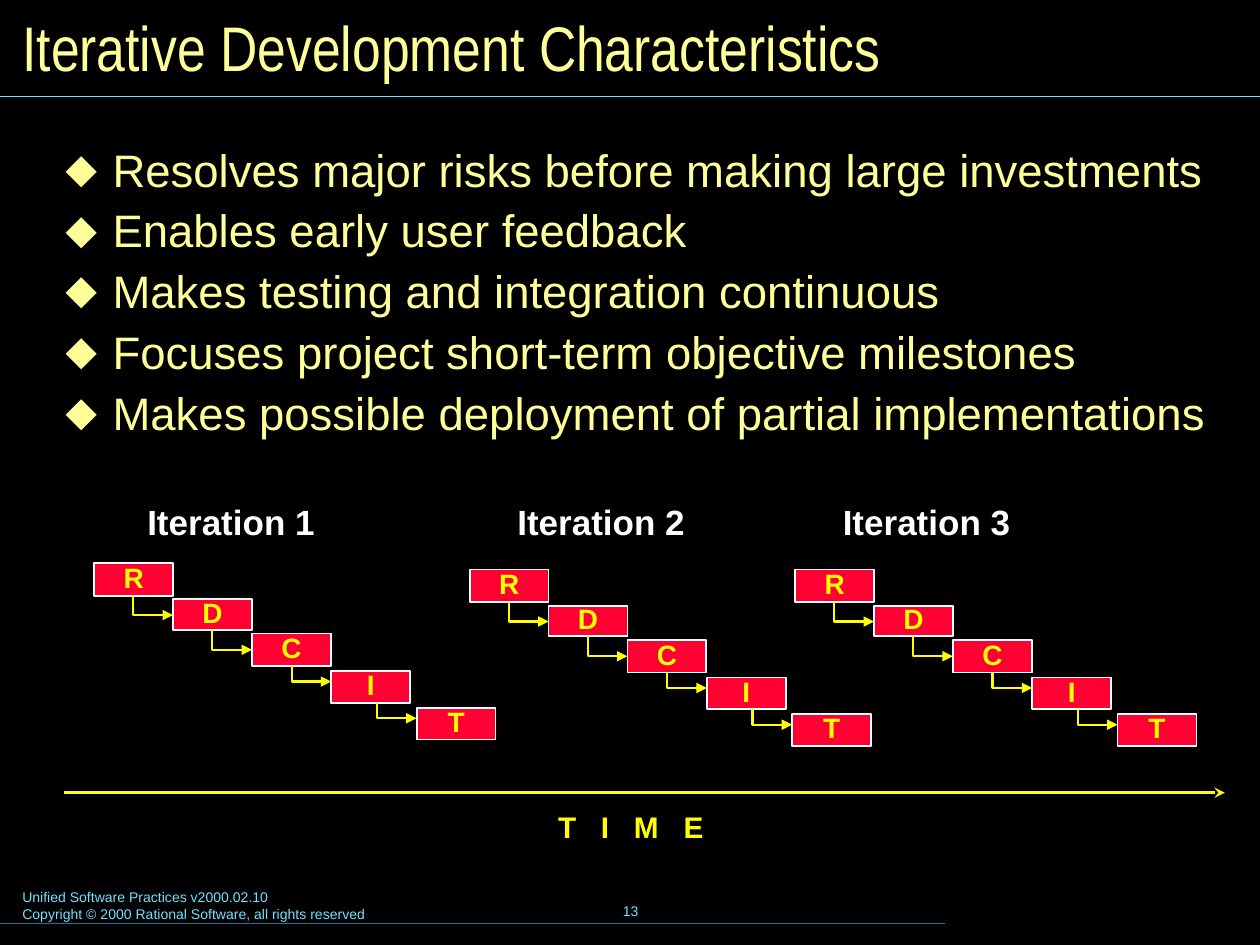
from lxml import etree
from pptx import Presentation
from pptx import util as u
from pptx.dml.color import RGBColor
from pptx.enum import shapes, text
from pptx.oxml.ns import qn

HUES = {
    "back": "000000", "pale": "FFFF99", "sky": "73E1FF", "teal": "007E9F",
    "sun": "FFFF00", "red": "FF0033", "white": "FFFFFF",
}


def hue(name):
    return RGBColor.from_string(HUES[name])


class Deck:
    """Holds the style and the current slide."""

    face = "Arial"

    def __init__(self, wide, high):
        self.prs = Presentation()
        self.prs.slide_width = u.Cm(wide)
        self.prs.slide_height = u.Cm(high)
        self.slide = self.prs.slides.add_slide(self.prs.slide_layouts[6])
        fill = self.slide.background.fill
        fill.solid()
        fill.fore_color.rgb = hue("back")

    def fill_text(self, frame, lines, size, color, bold=False, face=None,
                  align="LEFT", anchor="TOP", wrap=True, pad=(0.25, 0.13),
                  lead=None, gap=0, bullet=None, track=None):
        frame.word_wrap = wrap
        frame.vertical_anchor = text.MSO_ANCHOR[anchor]
        frame.margin_left = frame.margin_right = u.Cm(pad[0])
        frame.margin_top = frame.margin_bottom = u.Cm(pad[1])
        for i, line in enumerate(lines):
            para = frame.paragraphs[0] if i == 0 else frame.add_paragraph()
            para.alignment = text.PP_ALIGN[align]
            if lead:
                para.line_spacing = lead
            if i and gap:
                para.space_before = u.Pt(gap)
            if bullet:
                self.mark(para, bullet, color)
            run = para.add_run()
            run.text = line
            font = run.font
            font.name = face or self.face
            font.size = u.Pt(size)
            font.bold = bold
            font.color.rgb = hue(color)
            if track:
                run._r.get_or_add_rPr().set("spc", str(track))

    def mark(self, para, sign, color, indent=0.95):
        props = para._p.get_or_add_pPr()
        props.set("marL", str(u.Cm(indent)))
        props.set("indent", str(-u.Cm(indent)))
        tint = etree.SubElement(props, qn("a:buClr"))
        etree.SubElement(tint, qn("a:srgbClr"), val=HUES[color])
        etree.SubElement(props, qn("a:buFont"), typeface=self.face)
        etree.SubElement(props, qn("a:buChar"), char=sign)

    def label(self, x, y, w, h, lines, size, color, **style):
        box = self.slide.shapes.add_textbox(u.Cm(x), u.Cm(y), u.Cm(w), u.Cm(h))
        self.fill_text(box.text_frame, lines, size, color, **style)

    def block(self, x, y, w, h, word):
        box = self.slide.shapes.add_shape(
            shapes.MSO_SHAPE.RECTANGLE, u.Cm(x), u.Cm(y), u.Cm(w), u.Cm(h))
        box.shadow.inherit = False
        box.fill.solid()
        box.fill.fore_color.rgb = hue("red")
        box.line.color.rgb = hue("white")
        box.line.width = u.Pt(1)
        self.fill_text(box.text_frame, [word], 16, "sun", bold=True,
                       wrap=False, align="CENTER", anchor="MIDDLE",
                       pad=(0.23, 0.1), lead=0.87)

    def line(self, x1, y1, x2, y2, color, width, head=None, kind="STRAIGHT"):
        link = self.slide.shapes.add_connector(
            shapes.MSO_CONNECTOR[kind],
            u.Cm(x1), u.Cm(y1), u.Cm(x2), u.Cm(y2))
        link.line.color.rgb = hue(color)
        link.line.width = u.Pt(width)
        props = link._element.spPr
        if head:
            etree.SubElement(props.find(qn("a:ln")), qn("a:tailEnd"),
                             type=head)
        etree.SubElement(props, qn("a:effectLst"))
        return link

    def elbow(self, x, y, run, drop):
        """Go down by drop, then right by run."""
        link = self.line(x, y, x + run, y + drop, "sun", 1.25,
                         "triangle", "ELBOW")
        # One-corner preset, turned a quarter and mirrored about its centre
        link.left = u.Cm(x + (run - drop) / 2)
        link.top = u.Cm(y + (drop - run) / 2)
        link.width, link.height = u.Cm(drop), u.Cm(run)
        props = link._element.spPr
        props.find(qn("a:prstGeom")).set("prst", "bentConnector2")
        frame = props.find(qn("a:xfrm"))
        frame.set("rot", "16200000")
        frame.set("flipH", "1")


def main():
    deck = Deck(25.4, 19.05)

    # Footer and rules
    deck.label(0.2, 17.78, 12.95, 0.94, [
        "Unified Software Practices v2000.02.10",
        "Copyright © 2000 Rational Software, all rights reserved",
    ], 8, "sky")
    deck.label(8.69, 17.73, 8.05, 1.27, ["13"], 8, "sky",
               align="CENTER", anchor="MIDDLE")
    deck.line(0, 18.62, 19.05, 18.62, "teal", 0.75)
    deck.line(0, 1.94, 25.4, 1.94, "sky", 0.75)

    # Title and bullets
    deck.label(0.2, 0.2, 25, 1.47, ["Iterative Development Characteristics"],
               36, "pale", face="Arial Narrow", anchor="MIDDLE")
    deck.label(1.02, 2.92, 23.98, 6.17, [
        "Resolves major risks before making large investments",
        "Enables early user feedback",
        "Makes testing and integration continuous",
        "Focuses project short-term objective milestones",
        "Makes possible deployment of partial implementations",
    ], 26, "pale", pad=(0.3, 0.15), lead=0.8, gap=9.8, bullet="⬥")

    # Time axis
    deck.line(1.3, 15.98, 24.69, 15.98, "sun", 2, "stealth")
    deck.label(11.02, 16.28, 3.4, 0.86, ["T I M E"], 17, "sun", bold=True,
               wrap=False, pad=(0.23, 0.1), lead=0.9, track=470)

    # Iterations: each a staircase of steps (letter, x, y, height)
    steps = [("R", 0, 0, 0.66), ("D", 1.59, 0.73, 0.62),
             ("C", 3.18, 1.42, 0.66), ("I", 4.78, 2.18, 0.64),
             ("T", 6.5, 2.92, 0.64)]
    drops = [0.39, 0.4, 0.31, 0.31]
    reach = 0.8
    starts = [(2.72, 1.9, 11.35), (10.18, 9.47, 11.48), (16.74, 16.03, 11.48)]
    for num, (head, left, top) in enumerate(starts, 1):
        deck.label(head, 9.96, 4.09, 1.12, [f"Iteration {num}"], 20, "white",
                   bold=True, wrap=False)
        for word, x, y, high in steps:
            deck.block(left + x, top + y, 1.59, high, word)
        for (_, _, y, high), after, drop in zip(steps, steps[1:], drops):
            deck.elbow(left + after[1] - reach, top + y + high, reach, drop)

    deck.prs.save("out.pptx")


if __name__ == "__main__":
    main()
